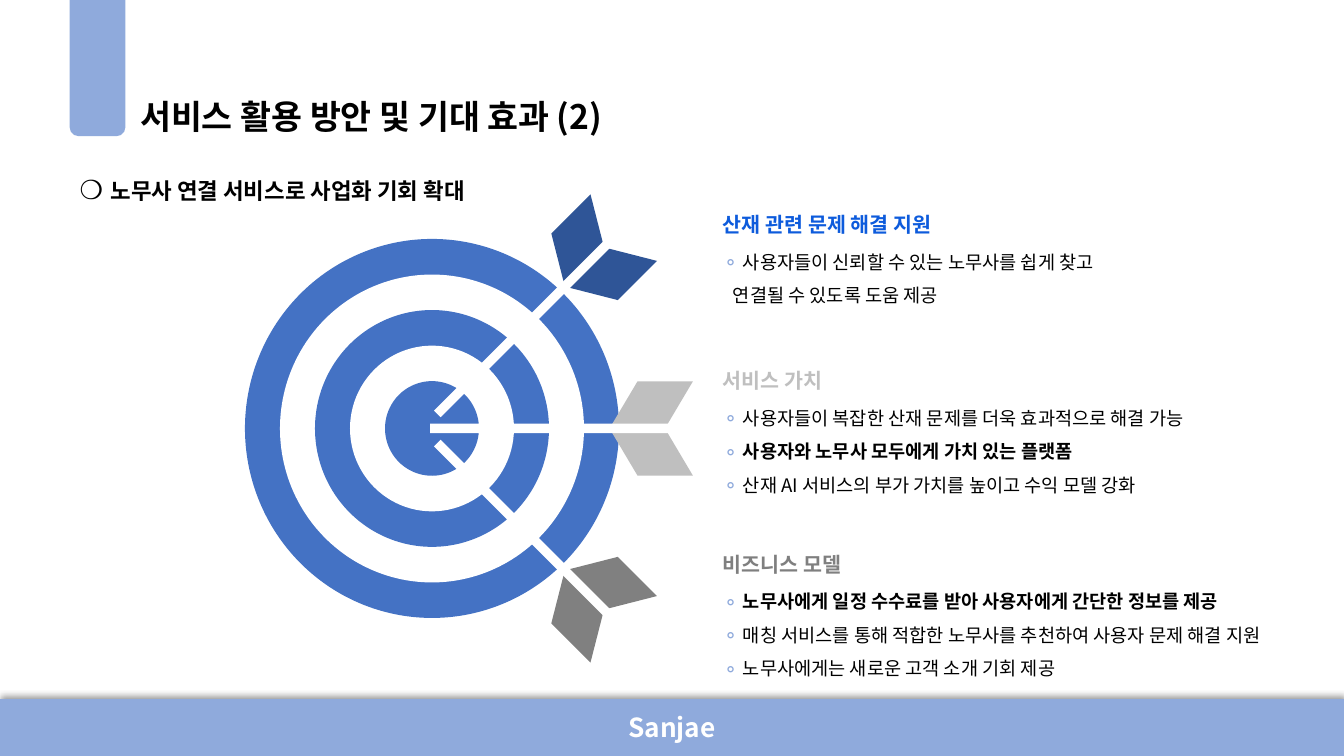
from dataclasses import dataclass

from lxml.etree import SubElement
from pptx import Presentation
from pptx.dml.color import RGBColor
from pptx.enum.shapes import MSO_SHAPE as Kind
from pptx.enum.text import MSO_ANCHOR as Anchor, MSO_AUTO_SIZE as Fit, PP_ALIGN as Align
from pptx.oxml.ns import qn
from pptx.util import Inches, Pt

# Square grid: 100 columns by 56.25 rows
COLS, ROWS = 100, 56.25
CELL = Inches(13.33) / COLS
SANS = "Noto Sans CJK KR"
HEX = {
    "pale": "8FAADC", "blue": "4472C4", "navy": "2F5597", "link": "0D5BDC",
    "silver": "BFBFBF", "gray": "808080", "slate": "7F7F7F",
    "white": "FFFFFF", "black": "000000",
}


@dataclass
class Box:
    x: float
    y: float
    w: float
    h: float

    def emu(self) -> list[int]:
        return [round(n * CELL) for n in (self.x, self.y, self.w, self.h)]


@dataclass
class Item:
    text: str
    bold: bool = False
    mark: bool = True


@dataclass
class Topic:
    head: str
    tint: str
    top: float
    slot: int
    items: list[Item]


@dataclass
class Arrow:
    """Offsets of the feather and shaft centres from the target's centre."""
    tint: str
    turn: int
    feather: tuple[float, float]
    shaft: tuple[float, float]


MID = (32.14, 31.88)
ARROWS = [
    Arrow("navy", -45, (12.08, -12.75), (7.05, -7.73)),
    Arrow("silver", 0, (16.31, 0), (9.26, 0)),
    Arrow("gray", 45, (12.08, 12.75), (7.05, 7.73)),
]
TOPICS = [
    Topic("산재 관련 문제 해결 지원", "link", 14.48, 2, [
        Item("사용자들이 신뢰할 수 있는 노무사를 쉽게 찾고"),
        Item("연결될 수 있도록 도움 제공", mark=False),
    ]),
    Topic("서비스 가치", "silver", 26.1, 3, [
        Item("사용자들이 복잡한 산재 문제를 더욱 효과적으로 해결 가능"),
        Item("사용자와 노무사 모두에게 가치 있는 플랫폼", bold=True),
        Item("산재 AI 서비스의 부가 가치를 높이고 수익 모델 강화"),
    ]),
    Topic("비즈니스 모델", "slate", 39.75, 4, [
        Item("노무사에게 일정 수수료를 받아 사용자에게 간단한 정보를 제공", bold=True),
        Item("매칭 서비스를 통해 적합한 노무사를 추천하여 사용자 문제 해결 지원"),
        Item("노무사에게는 새로운 고객 소개 기회 제공"),
    ]),
]


def draw(slide, kind, box: Box, tint: str, turn: float = 0, adj: float | None = None):
    part = slide.shapes.add_shape(kind, *box.emu())
    part.shadow.inherit = False
    part.fill.solid()
    part.fill.fore_color.rgb = RGBColor.from_string(HEX[tint])
    part.line.fill.background()
    part.rotation = turn
    if adj is not None:
        part.adjustments[0] = adj
    return part


def center(mid: tuple[float, float], w: float, h: float) -> Box:
    """Box of the given size around a point."""
    return Box(mid[0] - w / 2, mid[1] - h / 2, w, h)


def shade(part) -> None:
    """Soft shadow above the shape."""
    glow = SubElement(part._element.spPr.find(qn("a:effectLst")), qn("a:outerShdw"),
                      blurRad=str(Pt(4)), dist=str(Pt(3)), dir="16200000",
                      algn="b", rotWithShape="0")
    tone = SubElement(glow, qn("a:srgbClr"), val=HEX["black"])
    SubElement(tone, qn("a:alpha"), val="40000")


def place(part, box: Box):
    """Move a text holder and return its plain, top-anchored frame."""
    part.left, part.top, part.width, part.height = box.emu()
    frame = part.text_frame
    frame.word_wrap = True
    frame.auto_size = Fit.NONE
    frame.vertical_anchor = Anchor.TOP
    return frame


def write(par, text: str, *, size: float, tint: str = "black", bold: bool = False,
          font: str = SANS, space: float = 1.0, align=Align.LEFT) -> None:
    par.alignment = align
    par.line_spacing = space
    par.space_before = Pt(0)
    run = par.add_run()
    run.text = text
    run.font.size = Pt(size)
    run.font.bold = bold
    run.font.name = font
    run.font.color.rgb = RGBColor.from_string(HEX[tint])
    SubElement(run._r.get_or_add_rPr(), qn("a:ea"), typeface=font)


def bullet(par, mark: bool = False, left: float = 0, hang: float = 0) -> None:
    """Set the indent in inches, with a ring mark or none."""
    props = par._p.get_or_add_pPr()
    props.set("marL", str(Inches(left)))
    props.set("indent", str(-Inches(hang)))
    if mark:
        tone = SubElement(props, qn("a:buClr"))
        SubElement(tone, qn("a:srgbClr"), val=HEX["pale"])
        SubElement(props, qn("a:buFont"), typeface=SANS)
        SubElement(props, qn("a:buChar"), char="⚬")
    else:
        SubElement(props, qn("a:buNone"))


def target(slide) -> None:
    for i in range(5):
        ring = center(MID, 27.83 - 5.21 * i, 28.2 - 5.29 * i)
        draw(slide, Kind.OVAL, ring, "white" if i % 2 else "blue")
    for arrow in ARROWS:
        tail, rod = ((MID[0] + dx, MID[1] + dy) for dx, dy in (arrow.feather, arrow.shaft))
        draw(slide, Kind.CHEVRON, center(tail, 6.2, 7), arrow.tint, 180 + arrow.turn, 0.335)
        draw(slide, Kind.RECTANGLE, center(rod, 18.8, 0.7), "white", arrow.turn)


def explain(slide, topic: Topic) -> None:
    """Heading and list of one topic."""
    head = slide.shapes.add_textbox(0, 0, 0, 0)
    frame = place(head, Box(53.03, topic.top, 26.18, 3.53))
    write(frame.paragraphs[0], topic.head, size=14.7, tint=topic.tint, bold=True, space=1.5)
    box = Box(53.03, topic.top + 2.95, 46.95, 0.75 + 2.53 * len(topic.items))
    frame = place(slide.placeholders[topic.slot], box)
    for i, item in enumerate(topic.items):
        par = frame.add_paragraph() if i else frame.paragraphs[0]
        write(par, item.text, size=13.3, bold=item.bold, space=1.5)
        if item.mark:
            bullet(par, True, 0.2, 0.2)
        else:
            bullet(par, left=0.1)


def main() -> None:
    deck = Presentation()
    deck.slide_width, deck.slide_height = round(COLS * CELL), round(ROWS * CELL)
    slide = deck.slides.add_slide(deck.slide_layouts.get_by_name("Comparison"))

    foot = draw(slide, Kind.FLOWCHART_PROCESS, Box(0, 52, COLS, ROWS - 52), "pale")
    shade(foot)
    foot.text_frame.vertical_anchor = Anchor.MIDDLE
    write(foot.text_frame.paragraphs[0], "Sanjae", size=18.7, tint="white", bold=True,
          align=Align.CENTER)
    draw(slide, Kind.ROUND_2_SAME_RECTANGLE, Box(5.18, 0, 4.15, 10.13), "pale", 180, 0.16)

    title = place(slide.shapes.title, Box(9.68, 5.85, 40.73, 4.73))
    write(title.paragraphs[0], "서비스 활용 방안 및 기대 효과 (2)", size=24, bold=True, space=1.3)
    lead = place(slide.placeholders[1], Box(5.18, 12.53, 34.43, 3.15)).paragraphs[0]
    write(lead, "❍ ", size=18.7, font="Arial")
    write(lead, "노무사 연결 서비스로 사업화 기회 확대", size=16, bold=True)
    bullet(lead)

    target(slide)
    for topic in TOPICS:
        explain(slide, topic)
    deck.save("out.pptx")


if __name__ == "__main__":
    main()
